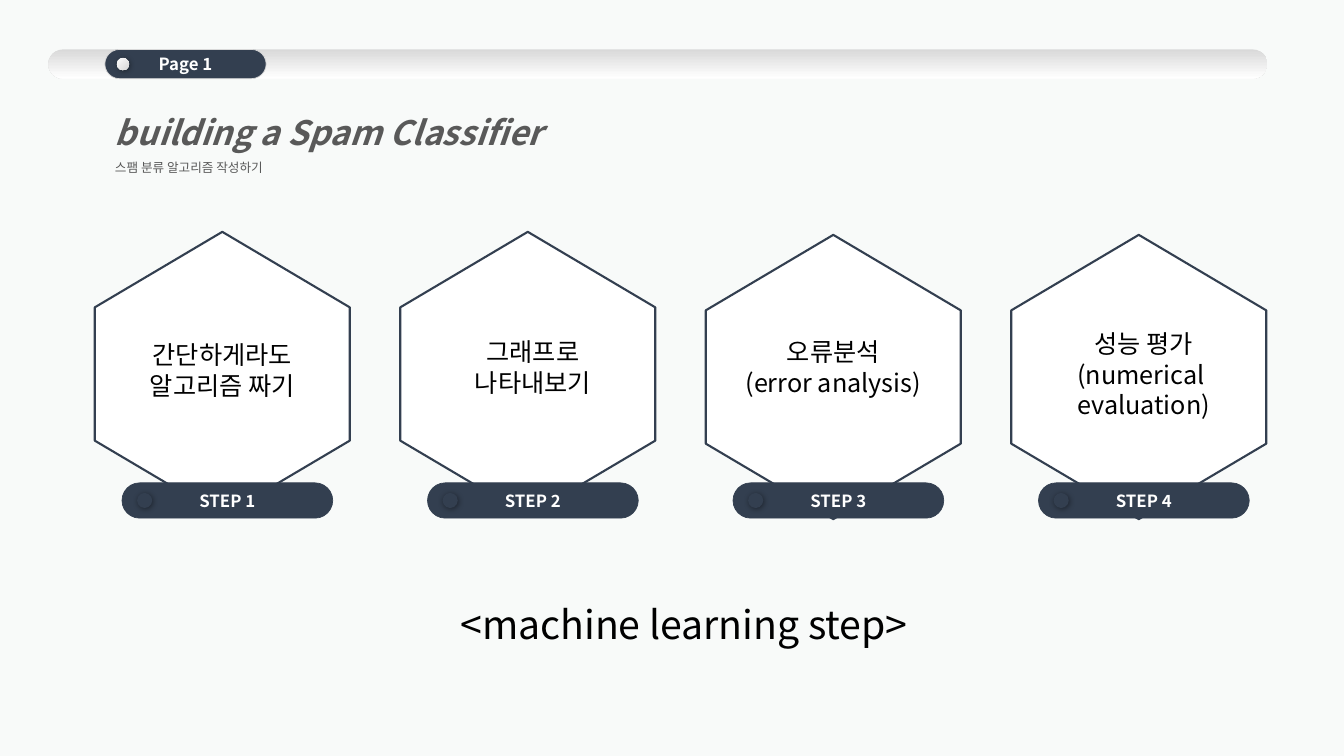
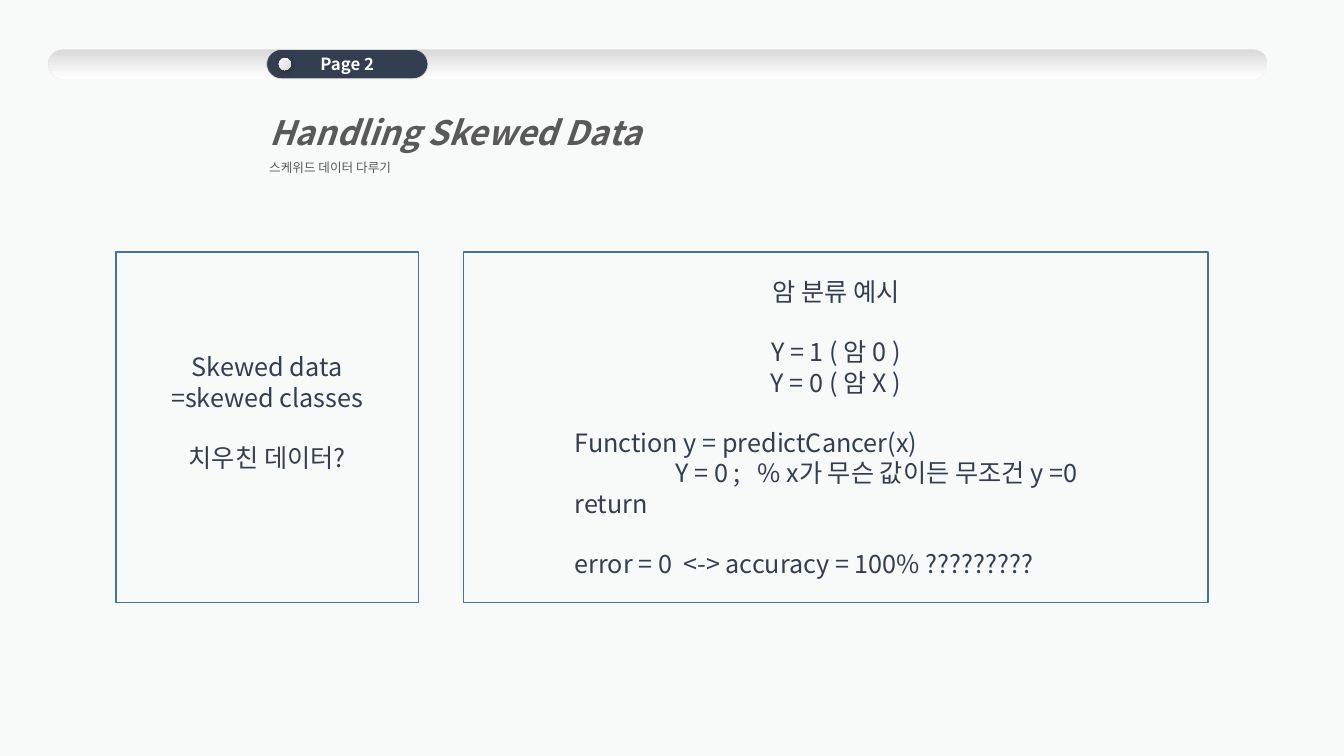
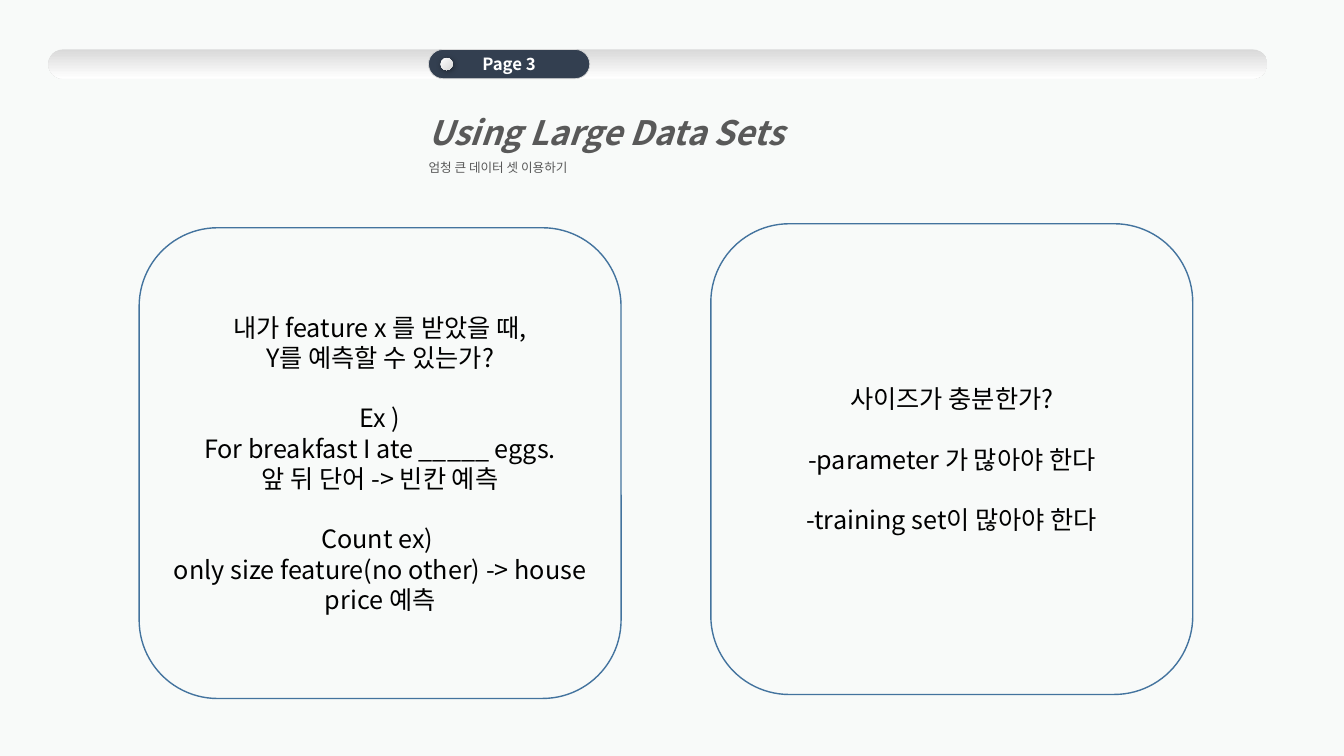
from dataclasses import dataclass

from lxml.etree import SubElement
from pptx import Presentation
from pptx.dml.color import RGBColor
from pptx.enum.shapes import MSO_SHAPE
from pptx.enum.text import MSO_ANCHOR, MSO_AUTO_SIZE, PP_ALIGN
from pptx.oxml.ns import qn
from pptx.util import Inches, Pt


@dataclass(frozen=True)
class Theme:
    font: str = "Noto Sans CJK KR"
    back: str = "F8FAF9"
    navy: str = "333F50"
    blue: str = "43739E"
    gray: str = "595959"
    rim: str = "D9D9D9"
    knob: str = "D7D7D7"
    white: str = "FFFFFF"
    black: str = "000000"
    head: int = 24
    sub: int = 9
    badge: int = 12
    body: int = 18
    note: int = 28
    gap: float = 21.6  # one empty line of body text, in points


@dataclass(frozen=True)
class Box:
    """A rectangle in inches."""
    x: float
    y: float
    w: float
    h: float

    def sub(self, x, y, w, h):
        """Return a box placed by offset from this one."""
        return Box(self.x + x, self.y + y, w, h)

    def emu(self):
        return [Inches(n) for n in (self.x, self.y, self.w, self.h)]


@dataclass(frozen=True)
class Line:
    """A paragraph; gap leaves one line free above, tab indents by inches."""
    text: str
    gap: bool = False
    tab: float = 0
    left: bool = False


T = Theme()
PAGE = Box(0, 0, 13.33, 7.5)
BAR = Box(0.48, 0.49, 12.09, 0.29)
TAB = Box(1.04, BAR.y, 1.6, BAR.h)
HEX = Box(0.94, 2.3, 2.53, 2.82)
PITCH = 3.03


def rgb(code):
    return RGBColor.from_string(code)


def write(shape, *lines, size=T.body, color=T.black, bold=False, italic=False,
          align=PP_ALIGN.CENTER, anchor=MSO_ANCHOR.MIDDLE, space=1, foot=0.05):
    frame = shape.text_frame
    frame.word_wrap = True
    frame.auto_size = MSO_AUTO_SIZE.NONE
    frame.vertical_anchor = anchor
    frame.margin_bottom = Inches(foot)
    for i, line in enumerate(lines):
        if isinstance(line, str):
            line = Line(line)
        para = frame.add_paragraph() if i else frame.paragraphs[0]
        para.alignment = PP_ALIGN.LEFT if line.left else align
        para.line_spacing = space
        para.space_before = Pt(T.gap if line.gap else 0)
        props = para._p.get_or_add_pPr()
        props.set("marL", str(Inches(line.tab)))
        props.set("indent", "0")
        SubElement(props, qn("a:buNone"))
        run = para.add_run()
        run.text = line.text
        font = run.font
        font.size, font.bold, font.italic = Pt(size), bold, italic
        font.color.rgb = rgb(color)
        font.name = T.font
        SubElement(run._r.rPr, qn("a:ea")).set("typeface", T.font)


def draw(shapes, kind, box, fill=None, line=None, width=0.5, adj=None):
    shape = shapes.add_shape(kind, *box.emu())
    shape.shadow.inherit = False
    if adj is not None:
        shape.adjustments[0] = adj
    if fill:
        shape.fill.solid()
        shape.fill.fore_color.rgb = rgb(fill)
    else:
        shape.fill.background()
    if line:
        shape.line.color.rgb = rgb(line)
        shape.line.width = Pt(width)
    else:
        shape.line.fill.background()
    return shape


def pill(shapes, box, fill=None, line=None):
    return draw(shapes, MSO_SHAPE.ROUNDED_RECTANGLE, box, fill, line, adj=0.5)


def fade(shape, start, end, radial=False):
    shape.fill.gradient()
    shape.fill.gradient_angle = 270
    for stop, color, pos in zip(shape.fill.gradient_stops, (start, end), (0, 1)):
        stop.color.rgb = rgb(color)
        stop.position = pos
    if radial:
        grad = shape.element.spPr.find(qn("a:gradFill"))
        grad.remove(grad.find(qn("a:lin")))
        ring = SubElement(grad, qn("a:path"), path="circle")
        SubElement(ring, qn("a:fillToRect"), l="100000", t="100000", r="0", b="0")


def shade(shape):
    """Add a soft drop shadow."""
    effects = shape.element.spPr.find(qn("a:effectLst"))
    drop = SubElement(effects, qn("a:outerShdw"), blurRad=str(Pt(4)),
                      dist=str(Pt(1)), dir="2700000", algn="tl", rotWithShape="0")
    color = SubElement(drop, qn("a:srgbClr"), val=T.black)
    SubElement(color, qn("a:alpha"), val="40000")


def badge(slide, box, text, rim, knob):
    """Draw a pill with its label; return the knob, set in by its own size."""
    shapes = slide.shapes.add_group_shape().shapes
    write(pill(shapes, box, T.navy, rim), text,
          size=T.badge, color=T.white, bold=True)
    dot = pill(shapes, box.sub(knob, (box.h - knob) / 2, knob, knob), T.navy)
    shade(dot)
    return dot


def place(shape, box):
    shape.left, shape.top, shape.width, shape.height = box.emu()
    return shape


def master(deck):
    """Give every slide the background and the bar; return the layout."""
    base, layout = deck.slide_master, deck.slide_layouts[1]
    base.background.fill.solid()
    base.background.fill.fore_color.rgb = rgb(T.back)
    return base, layout


def band(base, slide):
    """Draw the bar and move it behind everything on the master."""
    bar = pill(slide.shapes, BAR)
    fade(bar, T.rim, T.white)
    bar.element.find(".//" + qn("p:cNvPr")).set("id", "99")
    base.shapes.element.insert(2, bar.element)


def header(slide, index, left, title, sub):
    tab = TAB.sub(1.605 * index, 0, TAB.w, TAB.h)
    dot = badge(slide, tab, f"Page {index + 1}", T.rim, 0.12)
    fade(dot, T.knob, T.white, radial=True)
    box = Box(left, 0.86, 4.78, 0.93)
    look = dict(color=T.gray, align=PP_ALIGN.LEFT, anchor=MSO_ANCHOR.TOP, space=1.5)
    write(place(slide.shapes.title, box.sub(0, 0, box.w, 0.6)), title,
          size=T.head, bold=True, italic=True, **look)
    write(place(slide.placeholders[1], box.sub(0, 0.6, box.w, 0.33)), sub,
          size=T.sub, **look)


def step(slide, box, name, lines, drop, shift, rise):
    """Draw an upright hexagon with its label and its badge."""
    skew = (box.h - box.w) / 2
    cell = draw(slide.shapes, MSO_SHAPE.HEXAGON,
                box.sub(-skew, skew + drop, box.h, box.w),
                T.white, T.navy, 1.5, adj=0.296)
    cell.rotation = 270
    badge(slide, box.sub(0.27, 2.49, 2.09, 0.35), name, T.navy, 0.15)
    label = slide.shapes.add_textbox(*box.sub(shift, -rise, box.w, box.h).emu())
    write(label, *lines)


def steps(slide):
    cells = [
        (("간단하게라도", "알고리즘 짜기"), 0, 0, 0.04),
        (("그래프로", "나타내보기"), 0, 0.05, 0.07),
        (("오류분석", "(error analysis)"), 0.03, 0, 0.07),
        (("성능 평가", "(numerical ", "evaluation)"), 0.03, 0.05, 0),
    ]
    for i, cell in enumerate(cells):
        step(slide, HEX.sub(PITCH * i, 0, HEX.w, HEX.h), f"STEP {i + 1}", *cell)
    note = slide.shapes.add_textbox(*Box(4.47, 5.91, 5, 0.57).emu())
    write(note, "<machine learning step>", size=T.note, align=PP_ALIGN.LEFT,
          anchor=MSO_ANCHOR.TOP)


def panel(slide, kind, box, *lines, **look):
    write(draw(slide.shapes, kind, box, line=T.blue, width=1), *lines, **look)


def skewed(slide):
    row = Box(1.15, 2.5, 10.83, 3.48)
    kind = MSO_SHAPE.RECTANGLE
    panel(slide, kind, row.sub(0, 0, 3, row.h),
          "Skewed data", "=skewed classes", Line("치우친 데이터?", gap=True),
          color=T.navy, foot=0.35)
    panel(slide, kind, row.sub(3.45, 0, 7.38, row.h),
          "암 분류 예시",
          Line("Y = 1 ( 암 0 )", gap=True),
          "Y = 0 ( 암 X )",
          Line("Function y = predictCancer(x)", gap=True, tab=1, left=True),
          Line("Y = 0 ;   % x가 무슨 값이든 무조건 y =0", tab=2, left=True),
          Line("return", tab=1, left=True),
          Line("error = 0  <-> accuracy = 100% ?????????",
               gap=True, tab=1, left=True),
          color=T.navy)


def large(slide):
    row = Box(1.38, 2.22, 10.45, 4.67)
    kind = MSO_SHAPE.ROUNDED_RECTANGLE
    panel(slide, kind, row.sub(0, 0.04, 4.78, row.h),
          "내가 feature x 를 받았을 때,",
          "Y를 예측할 수 있는가?",
          Line("Ex )", gap=True),
          "For breakfast I ate _____ eggs.",
          "앞 뒤 단어 -> 빈칸 예측",
          Line("Count ex) ", gap=True),
          "only size feature(no other) -> house price 예측")
    panel(slide, kind, row.sub(5.67, 0, 4.78, row.h),
          "사이즈가 충분한가?",
          Line("-parameter 가 많아야 한다", gap=True),
          Line("-training set이 많아야 한다", gap=True))


def main():
    deck = Presentation()
    deck.slide_width, deck.slide_height = Inches(PAGE.w), Inches(PAGE.h)
    base, layout = master(deck)
    pages = [
        (1.04, "building a Spam Classifier", "스팸 분류 알고리즘 작성하기", steps),
        (2.57, "Handling Skewed Data", "스케위드 데이터 다루기", skewed),
        (4.15, "Using Large Data Sets", "엄청 큰 데이터 셋 이용하기", large),
    ]
    for i, (left, title, sub, fill) in enumerate(pages):
        slide = deck.slides.add_slide(layout)
        if i == 0:
            band(base, slide)
        header(slide, i, left, title, sub)
        fill(slide)
    deck.save("out.pptx")


if __name__ == "__main__":
    main()
